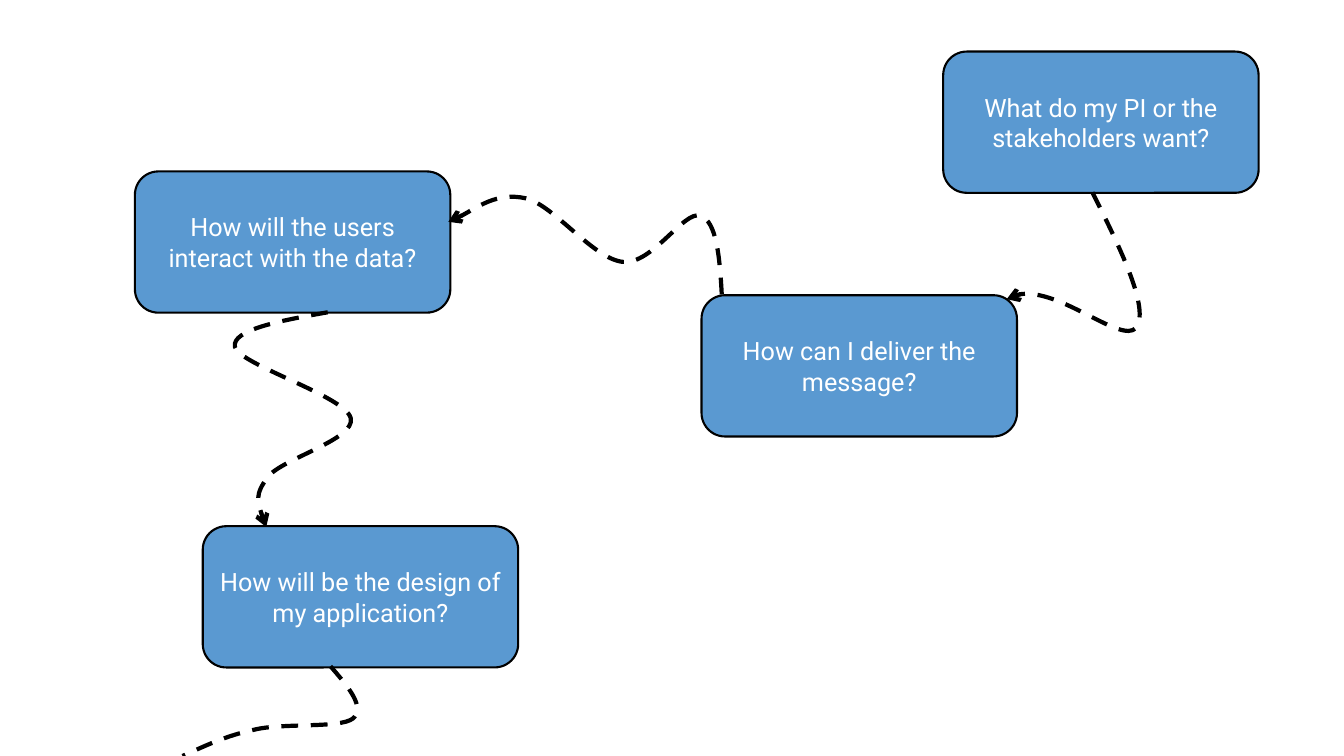
from dataclasses import dataclass

import lxml.etree
import pptx
import pptx.dml.color
import pptx.enum.dml
import pptx.enum.shapes
import pptx.enum.text
import pptx.oxml.ns
import pptx.slide
import pptx.util
from pptx.util import Cm

BLUE = pptx.dml.color.RGBColor(0x5A, 0x99, 0xD1)
BLACK = pptx.dml.color.RGBColor(0, 0, 0)
WHITE = pptx.dml.color.RGBColor(0xFF, 0xFF, 0xFF)
BOX_WIDTH = Cm(7.95)
BOX_HEIGHT = Cm(3.56)

Point = tuple[float, float]
Segment = tuple[Point, Point, Point]


@dataclass(frozen=True)
class Question:
    text: str
    left: float
    top: float


@dataclass(frozen=True)
class Trail:
    start: Point
    segments: list[Segment]
    has_arrow: bool = True


QUESTIONS = [
    Question("What do my PI or the stakeholders want?", 23.77, 1.3),
    Question("How can I deliver the message?", 17.68, 7.44),
    Question("How will the users interact with the data?", 3.4, 4.32),
    Question("How will be the design of my application?", 5.11, 13.26),
]

TRAILS = [
    Trail((27.53, 4.85), [
        ((28.27, 6.32), (28.98, 7.8), (28.63, 8.26)),
        ((28.27, 8.69), (26.34, 6.91), (25.37, 7.54)),
    ]),
    Trail((18.19, 7.42), [
        ((18.14, 6.5), (18.06, 5.56), (17.65, 5.44)),
        ((17.25, 5.28), (16.43, 6.68), (15.7, 6.6)),
        ((14.96, 6.53), (13.97, 5.18), (13.26, 5.0)),
        ((12.52, 4.83), (11.63, 5.49), (11.3, 5.59)),
    ]),
    Trail((8.26, 7.87), [
        ((7.06, 8.08), (5.84, 8.31), (5.92, 8.74)),
        ((6.02, 9.19), (8.71, 9.98), (8.84, 10.54)),
        ((8.97, 11.07), (7.11, 11.56), (6.76, 12.01)),
        ((6.4, 12.47), (6.55, 12.88), (6.71, 13.28)),
    ]),
    Trail((8.33, 16.79), [
        ((8.79, 17.32), (9.22, 17.83), (8.89, 18.11)),
        ((8.56, 18.36), (7.11, 18.21), (6.4, 18.39)),
        ((5.69, 18.54), (5.16, 18.8), (4.6, 19.05)),
    ], has_arrow=False),
]


def add_question(slide: pptx.slide.Slide, question: Question) -> None:
    shape = slide.shapes.add_shape(
        pptx.enum.shapes.MSO_SHAPE.ROUNDED_RECTANGLE,
        Cm(question.left), Cm(question.top), BOX_WIDTH, BOX_HEIGHT,
    )
    shape.shadow.inherit = False
    shape.fill.solid()
    shape.fill.fore_color.rgb = BLUE
    shape.line.color.rgb = BLACK
    shape.line.width = pptx.util.Pt(1.5)
    frame = shape.text_frame
    frame.word_wrap = True
    frame.vertical_anchor = pptx.enum.text.MSO_ANCHOR.MIDDLE
    frame.text = question.text
    paragraph = frame.paragraphs[0]
    paragraph.alignment = pptx.enum.text.PP_ALIGN.CENTER
    paragraph.font.name = "Roboto"
    paragraph.font.size = pptx.util.Pt(18)
    paragraph.font.color.rgb = WHITE


def add_trail(slide: pptx.slide.Slide, trail: Trail) -> None:
    qn = pptx.oxml.ns.qn
    builder = slide.shapes.build_freeform(Cm(trail.start[0]), Cm(trail.start[1]))
    anchors = [(Cm(x), Cm(y)) for _, _, (x, y) in trail.segments]
    builder.add_line_segments(anchors, close=False)
    shape = builder.convert_to_shape()
    shape.shadow.inherit = False
    shape.fill.background()
    shape.line.color.rgb = BLACK
    shape.line.width = pptx.util.Pt(3)
    shape.line.dash_style = pptx.enum.dml.MSO_LINE.DASH

    straight_lines = list(shape.element.iter(qn("a:lnTo")))
    for straight_line, segment in zip(straight_lines, trail.segments):
        curve = lxml.etree.Element(qn("a:cubicBezTo"))
        for x, y in segment:
            point = lxml.etree.SubElement(curve, qn("a:pt"))
            point.set("x", str(Cm(x) - shape.left))
            point.set("y", str(Cm(y) - shape.top))
        straight_line.getparent().replace(straight_line, curve)

    if trail.has_arrow:
        outline = shape.element.spPr.find(qn("a:ln"))
        lxml.etree.SubElement(outline, qn("a:tailEnd"), type="arrow")


def main() -> None:
    presentation = pptx.Presentation()
    presentation.slide_width = Cm(33.87)
    presentation.slide_height = Cm(19.05)
    slide = presentation.slides.add_slide(presentation.slide_layouts[6])
    for question in QUESTIONS:
        add_question(slide, question)
    for trail in TRAILS:
        add_trail(slide, trail)
    presentation.save("out.pptx")


if __name__ == "__main__":
    main()
